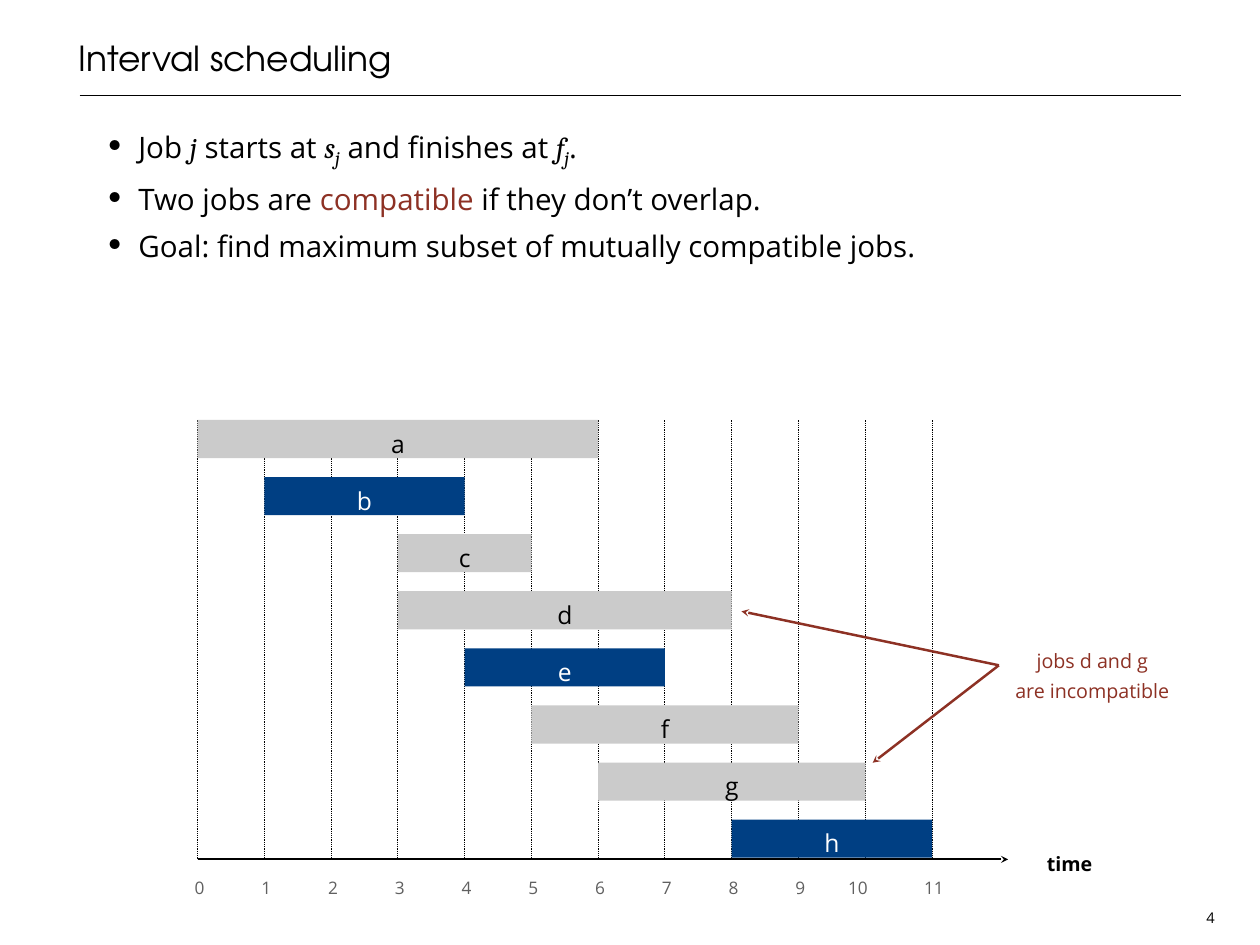
from dataclasses import dataclass

from lxml.etree import SubElement
from pptx import Presentation
from pptx.dml.color import RGBColor
from pptx.enum.dml import MSO_LINE
from pptx.enum.shapes import MSO_CONNECTOR, MSO_SHAPE
from pptx.enum.text import MSO_ANCHOR, MSO_AUTO_SIZE, PP_ALIGN
from pptx.oxml.ns import qn
from pptx.util import Pt

BLACK, WHITE, GREY, BLUE, RED, TICK_GREY = (
    "000000", "FFFFFF", "CBCBCB", "003F83", "8D3124", "606060")
BODY_FONT, TITLE_FONT, MATH_FONT = "Open Sans", "TeX Gyre Adventor", "Cambria"

CHART_LEFT, CHART_TOP, AXIS_Y = 160.6, 341.3, 698.4
HOUR_WIDTH, ROW_PITCH, BAR_HEIGHT = 54.26, 46.4, 31
LAST_HOUR = 11
TICK_WIDTH = 48


@dataclass
class Job:
    name: str
    start: int
    finish: int
    chosen: bool = False


@dataclass
class Stroke:
    color: str = BLACK
    width: float = 1
    dotted: bool = False
    arrow: bool = False


JOBS = [
    Job("a", 0, 6),
    Job("b", 1, 4, chosen=True),
    Job("c", 3, 5),
    Job("d", 3, 8),
    Job("e", 4, 7, chosen=True),
    Job("f", 5, 9),
    Job("g", 6, 10),
    Job("h", 8, 11, chosen=True),
]

VARIABLE = dict(font=MATH_FONT, italic=True)
SUBSCRIPT = dict(font=MATH_FONT, italic=True, size=28, baseline=-20)
BULLETS = [
    [("Job ", {}), ("j", VARIABLE), (" starts at ", {}), ("s", VARIABLE), ("j", SUBSCRIPT),
     (" and finishes at ", {}), ("f", VARIABLE), ("j", SUBSCRIPT), (".", {})],
    [("Two jobs are ", {}), ("compatible ", dict(color=RED)), ("if they don’t overlap.", {})],
    [("Goal: find maximum subset of mutually compatible jobs.", {})],
]


def rgb(value: str) -> RGBColor:
    return RGBColor.from_string(value)


def hour_x(hour: int) -> float:
    return CHART_LEFT + hour * HOUR_WIDTH


def write(paragraph, text: str, *, size: float = 24, font: str = BODY_FONT,
          color: str = BLACK, bold: bool = False, italic: bool = False,
          baseline: int = 0) -> None:
    run = paragraph.add_run()
    run.text = text
    run.font.size = Pt(size)
    run.font.name = font
    run.font.bold = bold
    run.font.italic = italic
    run.font.color.rgb = rgb(color)
    if baseline:
        run._r.get_or_add_rPr().set("baseline", str(baseline * 1000))


def set_frame(frame, anchor=MSO_ANCHOR.TOP, inset: float = 0, wrap: bool = True,
              fit=MSO_AUTO_SIZE.NONE) -> None:
    frame.margin_left = frame.margin_right = Pt(inset)
    frame.margin_top = frame.margin_bottom = Pt(inset)
    frame.vertical_anchor = anchor
    frame.word_wrap = wrap
    frame.auto_size = fit


def place(shape, left: float, top: float, width: float, height: float) -> None:
    shape.left, shape.top = Pt(left), Pt(top)
    shape.width, shape.height = Pt(width), Pt(height)


def add_label(slide, lines: list[str], left: float, top: float, width: float, height: float,
              *, spacing=1.3, before: float = 0, inset: float = 0, wrap: bool = True,
              **style) -> None:
    box = slide.shapes.add_textbox(Pt(left), Pt(top), Pt(width), Pt(height))
    frame = box.text_frame
    set_frame(frame, inset=inset, wrap=wrap, fit=MSO_AUTO_SIZE.SHAPE_TO_FIT_TEXT)
    for index, line in enumerate(lines):
        paragraph = frame.add_paragraph() if index else frame.paragraphs[0]
        paragraph.alignment = PP_ALIGN.CENTER
        paragraph.line_spacing = spacing
        paragraph.space_before = Pt(before)
        write(paragraph, line, **style)


def add_line(slide, start: tuple[float, float], end: tuple[float, float],
             stroke: Stroke) -> None:
    line = slide.shapes.add_connector(
        MSO_CONNECTOR.STRAIGHT, *(Pt(value) for value in (*start, *end)))
    line.line.color.rgb = rgb(stroke.color)
    line.line.width = Pt(stroke.width)
    if stroke.dotted:
        line.line.dash_style = MSO_LINE.ROUND_DOT
    properties = line._element.spPr
    if stroke.arrow:
        SubElement(properties.find(qn("a:ln")), qn("a:tailEnd"), type="stealth")
    SubElement(properties, qn("a:effectLst"))


def add_job(slide, job: Job, row: int) -> None:
    bar = slide.shapes.add_shape(
        MSO_SHAPE.RECTANGLE, Pt(hour_x(job.start)), Pt(CHART_TOP + row * ROW_PITCH),
        Pt((job.finish - job.start) * HOUR_WIDTH), Pt(BAR_HEIGHT))
    bar.shadow.inherit = False
    bar.fill.solid()
    bar.fill.fore_color.rgb = rgb(BLUE if job.chosen else GREY)
    bar.line.fill.background()
    set_frame(bar.text_frame, anchor=MSO_ANCHOR.MIDDLE)
    paragraph = bar.text_frame.paragraphs[0]
    paragraph.alignment = PP_ALIGN.CENTER
    paragraph.line_spacing = 1.3
    write(paragraph, job.name, size=20, color=WHITE if job.chosen else BLACK)


def add_heading(slide) -> None:
    title = slide.shapes.title
    place(title, 64, 0, 896, 64)
    set_frame(title.text_frame, anchor=MSO_ANCHOR.BOTTOM)
    paragraph = title.text_frame.paragraphs[0]
    paragraph.alignment = PP_ALIGN.LEFT
    paragraph.line_spacing = Pt(38)
    write(paragraph, "Interval scheduling", size=28, font=TITLE_FONT)
    add_line(slide, (64.8, 77.8), (959.8, 77.8), Stroke())


def add_bullets(slide) -> None:
    body = slide.placeholders[1]
    place(body, 64, 100, 896, 644)
    set_frame(body.text_frame)
    for index, pieces in enumerate(BULLETS):
        paragraph = body.text_frame.add_paragraph() if index else body.text_frame.paragraphs[0]
        paragraph.line_spacing = Pt(38)
        paragraph.space_before = Pt(0)
        properties = paragraph._p.get_or_add_pPr()
        properties.set("marL", str(Pt(46)))
        properties.set("indent", str(Pt(-36)))
        SubElement(properties, qn("a:buSzPct"), val="160000")
        SubElement(properties, qn("a:buChar"), char="・")
        for text, style in pieces:
            write(paragraph, text, **style)


def add_schedule(slide) -> None:
    add_line(slide, (CHART_LEFT, AXIS_Y), (819.4, AXIS_Y), Stroke(width=1.5, arrow=True))
    add_label(slide, ["time"], 825.8, 686.9, 87, 18, size=16, bold=True)
    for hour in range(LAST_HOUR + 1):
        x = hour_x(hour)
        add_line(slide, (x, AXIS_Y), (x, CHART_TOP), Stroke(width=0.75, dotted=True))
        shift = -6 if hour == 10 else 1.5
        add_label(slide, [str(hour)], x - TICK_WIDTH / 2 + shift, 707.8, TICK_WIDTH, 13.7,
                  before=10, size=14, color=TICK_GREY)
    for row, job in enumerate(JOBS):
        add_job(slide, job, row)


def add_conflict_note(slide) -> None:
    add_label(slide, ["jobs d and g", "are incompatible"], 822.2, 521.3, 131, 35.3,
              wrap=False, size=16, color=RED)
    for target in [(709.2, 619.9), (602.6, 496.8)]:
        add_line(slide, (811.8, 540.7), target, Stroke(RED, 2, arrow=True))


def main() -> None:
    deck = Presentation()
    deck.slide_width, deck.slide_height = Pt(1024), Pt(768)
    slide = deck.slides.add_slide(deck.slide_layouts[1])
    add_heading(slide)
    add_bullets(slide)
    add_label(slide, ["4"], 972.7, 735.8, 22.3, 17.3, spacing=Pt(14), inset=3,
              wrap=False, size=12)
    add_schedule(slide)
    add_conflict_note(slide)
    deck.save("out.pptx")


if __name__ == "__main__":
    main()
